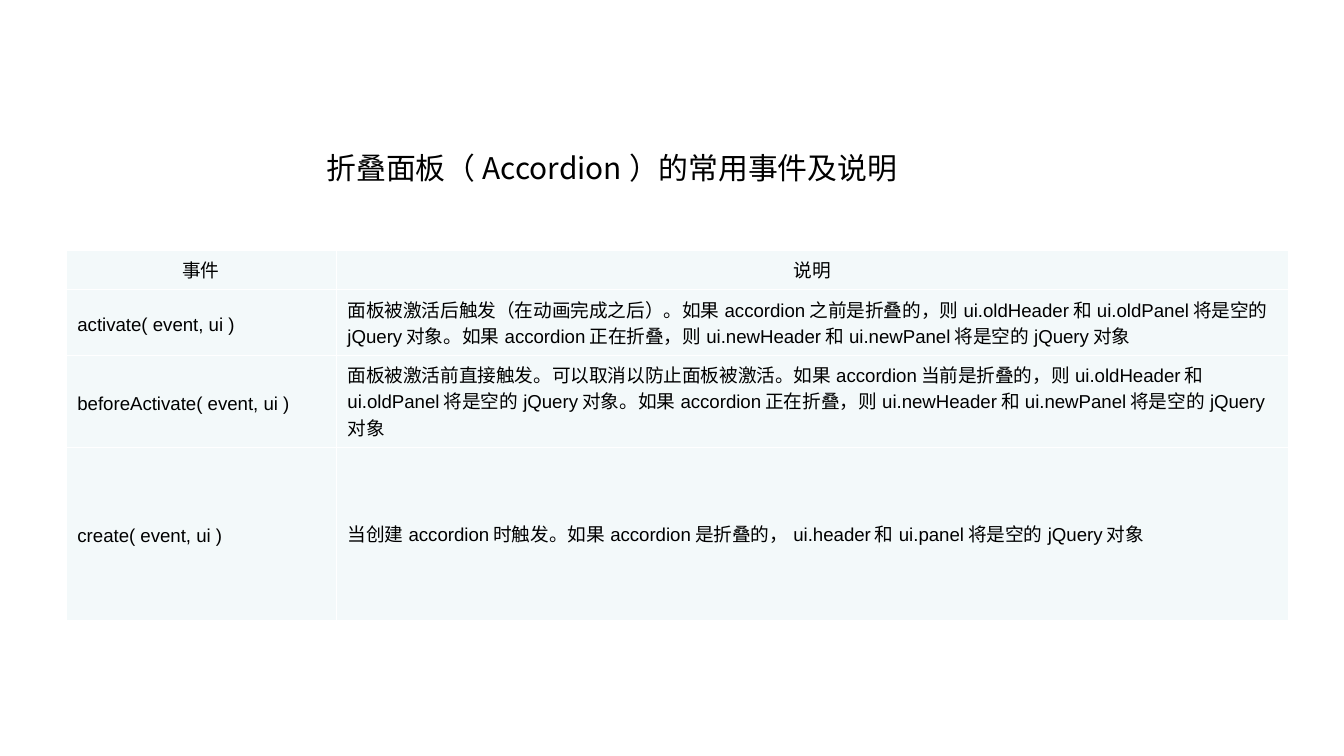
from dataclasses import dataclass

from lxml.etree import SubElement
from pptx import Presentation
from pptx.dml.color import RGBColor as RGB
from pptx.enum.text import MSO_ANCHOR as Anchor, MSO_AUTO_SIZE as AutoSize, PP_ALIGN as Align
from pptx.oxml.ns import qn
from pptx.util import Pt


@dataclass(frozen=True)
class Theme:
    ink: RGB = RGB(0, 0, 0)
    cell: RGB = RGB(0xF3, 0xF9, 0xFA)
    border: str = "FFFFFF"
    body_font: str = "Arial"
    cjk_font: str = "Noto Sans CJK SC"
    title_size: int = 16
    body_size: int = 10


theme = Theme()


def style(paragraph, name, size, align):
    paragraph.alignment = align
    font = paragraph.font
    font.name, font.size, font.bold = name, Pt(size), False
    font.color.rgb = theme.ink
    SubElement(font._element, qn("a:ea"), typeface=theme.cjk_font)


def add_borders(cell):
    properties = cell._tc.get_or_add_tcPr()
    for side in ("lnL", "lnR", "lnT", "lnB"):
        line = SubElement(properties, qn(f"a:{side}"), w=str(Pt(0.45)))
        fill = SubElement(line, qn("a:solidFill"))
        SubElement(fill, qn("a:srgbClr"), val=theme.border)


presentation = Presentation()
presentation.slide_width, presentation.slide_height = Pt(720), Pt(405)
slide = presentation.slides.add_slide(presentation.slide_layouts[5])

# Title
title = slide.shapes.title
title.left, title.top, title.width, title.height = Pt(167.8), Pt(77), Pt(450), Pt(46)
heading = title.text_frame
heading.text = "折叠面板（Accordion）的常用事件及说明"
heading.word_wrap = True
heading.auto_size = AutoSize.NONE
heading.vertical_anchor = Anchor.TOP
heading.margin_top = Pt(3)
style(heading.paragraphs[0], theme.cjk_font, theme.title_size, Align.LEFT)

# Event table
events = [
    ("事件", "说明"),
    ("activate( event, ui )",
     "面板被激活后触发（在动画完成之后）。如果accordion之前是折叠的，则ui.oldHeader和ui.oldPanel将是空的jQuery对象。"
     "如果accordion正在折叠，则ui.newHeader和ui.newPanel将是空的jQuery对象"),
    ("beforeActivate( event, ui )",
     "面板被激活前直接触发。可以取消以防止面板被激活。如果accordion当前是折叠的，则ui.oldHeader和ui.oldPanel将是空的jQuery对象。"
     "如果accordion正在折叠，则ui.newHeader和ui.newPanel将是空的jQuery对象"),
    ("create( event, ui )",
     "当创建accordion时触发。如果accordion是折叠的，ui.header和ui.panel将是空的jQuery对象"),
]
column_widths = (144.7, 510.5)
row_heights = (21, 35.2, 49.2, 92.8)

event_table = slide.shapes.add_table(
    len(events), len(column_widths), Pt(35.3), Pt(134.2),
    Pt(sum(column_widths)), Pt(sum(row_heights))).table
event_table.first_row = event_table.horz_banding = False
for column, width in zip(event_table.columns, column_widths):
    column.width = Pt(width)

for index, (row, texts) in enumerate(zip(event_table.rows, events)):
    row.height = Pt(row_heights[index])
    for cell, text in zip(row.cells, texts):
        cell.text = text
        cell.vertical_anchor = Anchor.MIDDLE
        cell.margin_left = cell.margin_right = Pt(6.2)
        cell.margin_top = cell.margin_bottom = Pt(3.5)
        add_borders(cell)
        cell.fill.solid()
        cell.fill.fore_color.rgb = theme.cell
        paragraph = cell.text_frame.paragraphs[0]
        paragraph.line_spacing = Pt(14)
        style(paragraph, theme.body_font, theme.body_size,
              Align.CENTER if index == 0 else Align.LEFT)

presentation.save("out.pptx")
